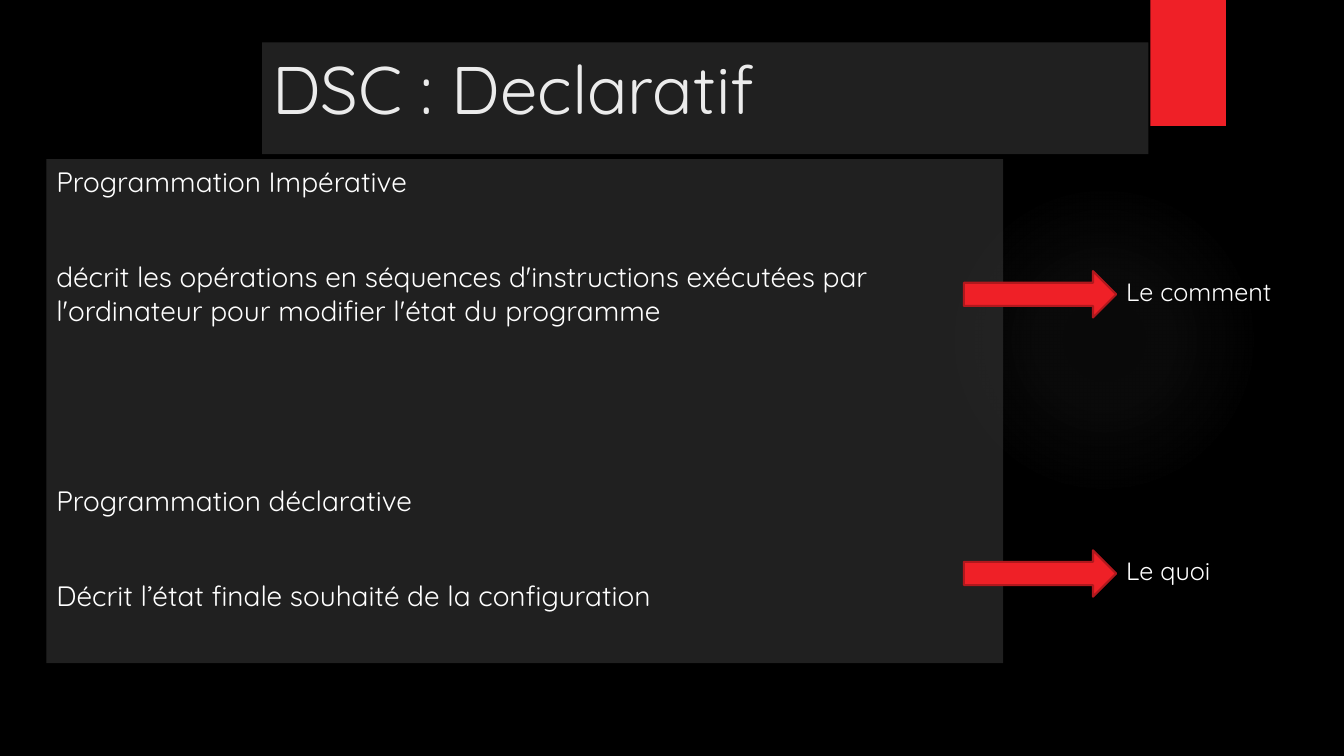
from lxml import etree
from pptx import Presentation
from pptx.dml.color import RGBColor
from pptx.enum.shapes import MSO_SHAPE
from pptx.enum.text import MSO_ANCHOR, PP_ALIGN
from pptx.oxml import parse_xml
from pptx.oxml.ns import nsdecls, qn
from pptx.util import Inches, Pt

RECTANGLE, ELLIPSE, ARROW = MSO_SHAPE.RECTANGLE, MSO_SHAPE.OVAL, MSO_SHAPE.RIGHT_ARROW
TOP, LEFT = MSO_ANCHOR.TOP, PP_ALIGN.LEFT

FONT = "Quicksand"
COLORS = {
    "background": "000000",
    "panel": "2F2F2F",
    "accent": "EF2027",
    "accent_edge": "B1181D",
    "title": "EBEBEB",
    "text": "FFFFFF",
    "glow": "898989",
}
PANEL_OPACITY = 70
GLOW_STOPS = [(0, 7), (36, 6), (69, 0)]  # position and opacity, in percent

# Text and space before it, in points
DEFINITIONS = [
    ("Programmation Impérative", 0),
    ("décrit les opérations en séquences d'instructions exécutées par "
     "l'ordinateur pour modifier l'état du programme", 44),
    ("Programmation déclarative", 112),
    ("Décrit l’état finale souhaité de la configuration", 44),
]
ANSWERS = ["Le comment", "Le quoi"]


def color(name):
    return RGBColor.from_string(COLORS[name])


def add_filled_shape(slide, kind, box, fill, opacity=100):
    shape = slide.shapes.add_shape(kind, *map(Inches, box))
    shape.shadow.inherit = False
    shape.line.fill.background()
    shape.fill.solid()
    shape.fill.fore_color.rgb = color(fill)
    if opacity < 100:
        fill_color = shape.fill._xPr.find(qn("a:solidFill"))[0]
        etree.SubElement(fill_color, qn("a:alpha"), val=str(opacity * 1000))
    return shape


def write_text(shape, paragraphs, size, fill):
    """Fill a shape with (text, space before) pairs from its top left corner."""
    text_frame = shape.text_frame
    text_frame.word_wrap = True
    text_frame.vertical_anchor = TOP
    text_frame.text = "\n".join(text for text, _ in paragraphs)
    for paragraph, (_, space_before) in zip(text_frame.paragraphs, paragraphs):
        paragraph.alignment = LEFT
        paragraph.space_before = Pt(space_before)
        for run in paragraph.runs:
            run.font.name = FONT
            run.font.size = Pt(size)
            run.font.color.rgb = color(fill)


def add_glow(slide, box):
    glow = add_filled_shape(slide, ELLIPSE, box, "glow")
    stops = "".join(
        f'<a:gs pos="{position * 1000}"><a:srgbClr val="{COLORS["glow"]}">'
        f'<a:alpha val="{opacity * 1000}"/></a:srgbClr></a:gs>'
        for position, opacity in GLOW_STOPS)
    gradient = parse_xml(
        f'<a:gradFill {nsdecls("a")}><a:gsLst>{stops}</a:gsLst><a:path path="circle">'
        '<a:fillToRect l="50000" t="50000" r="50000" b="50000"/></a:path></a:gradFill>')
    properties = glow.fill._xPr
    properties.replace(properties.find(qn("a:solidFill")), gradient)


def add_text_panel(slide, box, paragraphs, size, fill):
    panel = add_filled_shape(slide, RECTANGLE, box, "panel", PANEL_OPACITY)
    write_text(panel, paragraphs, size, fill)


def add_answers(slide, box, row_pitch):
    """Stack arrows, each pointing at its answer, in rows of the given pitch."""
    left, top, width, height = box
    arrow_width = 0.455 * width
    for row, answer in enumerate(ANSWERS):
        row_top = top + row * row_pitch
        arrow = add_filled_shape(slide, ARROW, (left, row_top, arrow_width, height), "accent")
        arrow.line.color.rgb = color("accent_edge")
        arrow.line.width = Pt(1.5)
        label_box = (left + arrow_width, row_top, width - arrow_width, 0.4)
        label = slide.shapes.add_textbox(*map(Inches, label_box))
        write_text(label, [(answer, 0)], 18, "text")


def build_slide(presentation):
    slide = presentation.slides.add_slide(presentation.slide_layouts[6])
    slide.background.fill.solid()
    slide.background.fill.fore_color.rgb = color("background")
    add_glow(slide, (9.41, 1.83, 3.08, 3.08))
    add_filled_shape(slide, RECTANGLE, (11.41, 0, 0.75, 1.25), "accent")
    add_text_panel(slide, (2.6, 0.42, 8.79, 1.11), [("DSC : Declaratif", 0)], 48, "title")
    add_text_panel(slide, (0.46, 1.58, 9.49, 5), DEFINITIONS, 20, "text")
    add_answers(slide, (9.56, 2.69, 3.32, 0.46), row_pitch=2.77)


def main():
    presentation = Presentation()
    presentation.slide_width = Inches(13.33)
    presentation.slide_height = Inches(7.5)
    build_slide(presentation)
    presentation.save("out.pptx")


if __name__ == "__main__":
    main()
